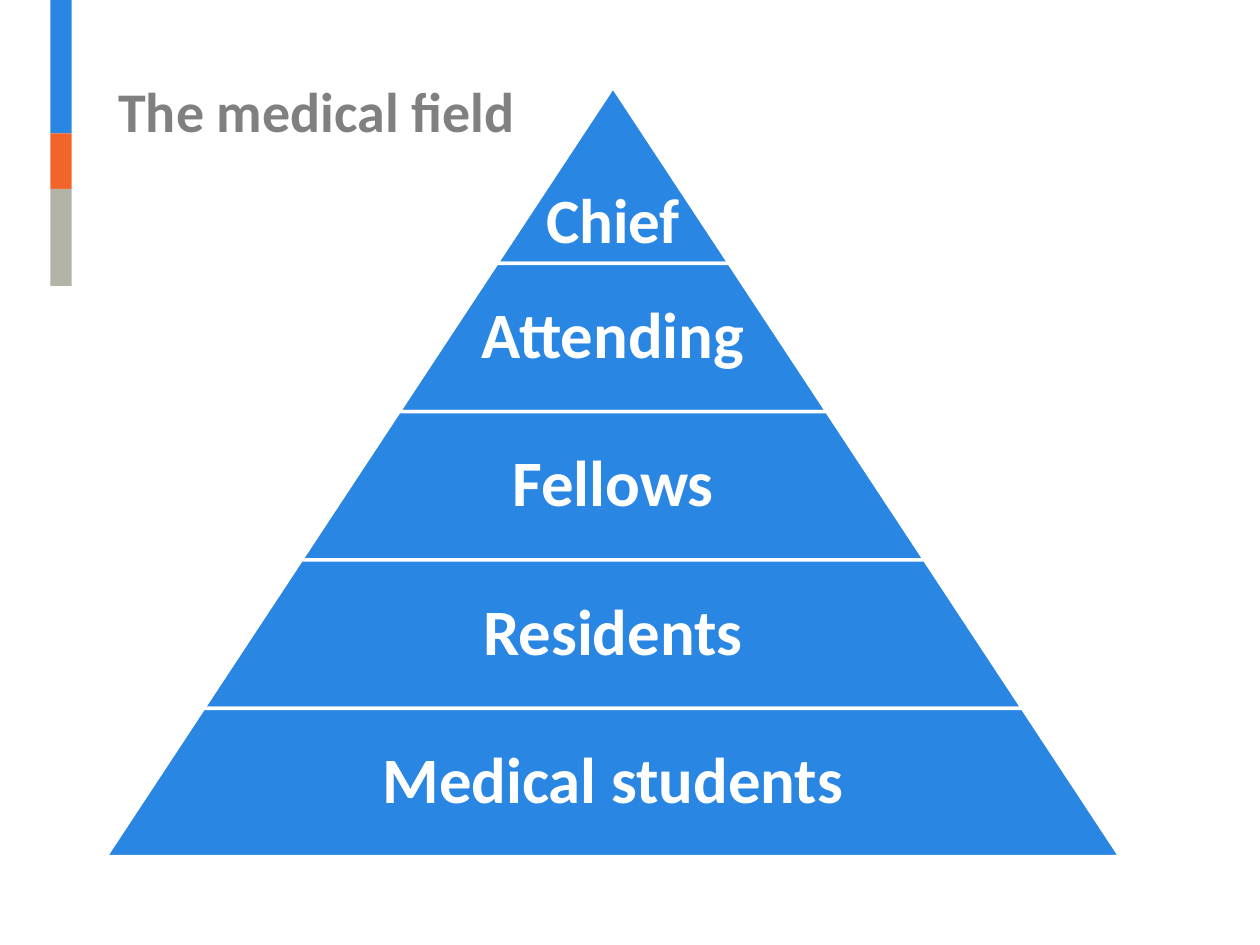
from dataclasses import dataclass

from pptx import Presentation
from pptx.dml.color import RGBColor
from pptx.enum.shapes import MSO_SHAPE
from pptx.enum.text import MSO_ANCHOR, PP_ALIGN
from pptx.util import Pt

RECTANGLE = MSO_SHAPE.RECTANGLE
TRAPEZOID = MSO_SHAPE.TRAPEZOID
BOTTOM, MIDDLE = MSO_ANCHOR.BOTTOM, MSO_ANCHOR.MIDDLE
LEFT, CENTER = PP_ALIGN.LEFT, PP_ALIGN.CENTER

FONT = "Calibri"
BLUE, ORANGE, STONE = "2986E2", "F26529", "B3B3A6"
GRAY, WHITE = "808080", "FFFFFF"

PYRAMID_CENTER = 350.3
PYRAMID_TOP = 49.7
SIDE_SLOPE = 0.659  # horizontal run of each side per unit of height


@dataclass(frozen=True)
class Box:
    left: float
    top: float
    width: float
    height: float

    def lengths(self) -> tuple:
        return Pt(self.left), Pt(self.top), Pt(self.width), Pt(self.height)


@dataclass(frozen=True)
class Tier:
    label: str
    height: float = 84.75
    size: float = 37
    label_share: float = 0.65  # label width as a share of the base
    anchor: MSO_ANCHOR = MIDDLE


@dataclass(frozen=True)
class Band:
    height: float
    color: str


TIERS = [
    Tier("Chief", height=100.8, size=36, label_share=1, anchor=BOTTOM),
    Tier("Attending"),
    Tier("Fellows"),
    Tier("Residents"),
    Tier("Medical students"),
]
BANDS = [Band(76.3, BLUE), Band(31.7, ORANGE), Band(55.4, STONE)]


def color(value: str) -> RGBColor:
    return RGBColor.from_string(value)


def add_filled(slide, kind: MSO_SHAPE, box: Box, fill: str):
    """Add a preset shape with a solid fill, no line and no shadow."""
    shape = slide.shapes.add_shape(kind, *box.lengths())
    shape.shadow.inherit = False
    shape.fill.solid()
    shape.fill.fore_color.rgb = color(fill)
    shape.line.fill.background()
    return shape


def add_text(slide, box: Box, text: str, size: float, ink: str,
             anchor: MSO_ANCHOR, alignment: PP_ALIGN):
    """Add a one-paragraph bold text box and return its text frame."""
    text_frame = slide.shapes.add_textbox(*box.lengths()).text_frame
    text_frame.word_wrap = True
    text_frame.vertical_anchor = anchor
    text_frame.text = text
    paragraph = text_frame.paragraphs[0]
    paragraph.alignment = alignment
    font = paragraph.runs[0].font
    font.name, font.size, font.bold = FONT, Pt(size), True
    font.color.rgb = color(ink)
    return text_frame


def centered_box(top: float, width: float, height: float) -> Box:
    return Box(PYRAMID_CENTER - width / 2, top, width, height)


def add_tier(slide, tier: Tier, top: float) -> None:
    base = 2 * SIDE_SLOPE * (top + tier.height - PYRAMID_TOP)
    shape = add_filled(slide, TRAPEZOID, centered_box(top, base, tier.height), BLUE)
    shape.adjustments[0] = SIDE_SLOPE
    shape.line.color.rgb = color(WHITE)
    shape.line.width = Pt(2)

    label_box = centered_box(top, base * tier.label_share, tier.height)
    text_frame = add_text(slide, label_box, tier.label, tier.size, WHITE,
                          tier.anchor, CENTER)
    text_frame.margin_left = text_frame.margin_right = Pt(3.6)
    text_frame.margin_top = text_frame.margin_bottom = Pt(3.6)
    text_frame.paragraphs[0].line_spacing = 0.9


def main() -> None:
    presentation = Presentation()
    presentation.slide_width, presentation.slide_height = Pt(720), Pt(540)
    slide = presentation.slides.add_slide(presentation.slide_layouts[6])

    top = 0
    for band in BANDS:
        add_filled(slide, RECTANGLE, Box(28.8, top, 12.2, band.height), band.color)
        top += band.height

    add_text(slide, Box(60.5, 23.8, 604.8, 61.9), "The medical field", 32, GRAY,
             BOTTOM, LEFT)

    top = PYRAMID_TOP
    for tier in TIERS:
        add_tier(slide, tier, top)
        top += tier.height

    presentation.save("out.pptx")


if __name__ == "__main__":
    main()
